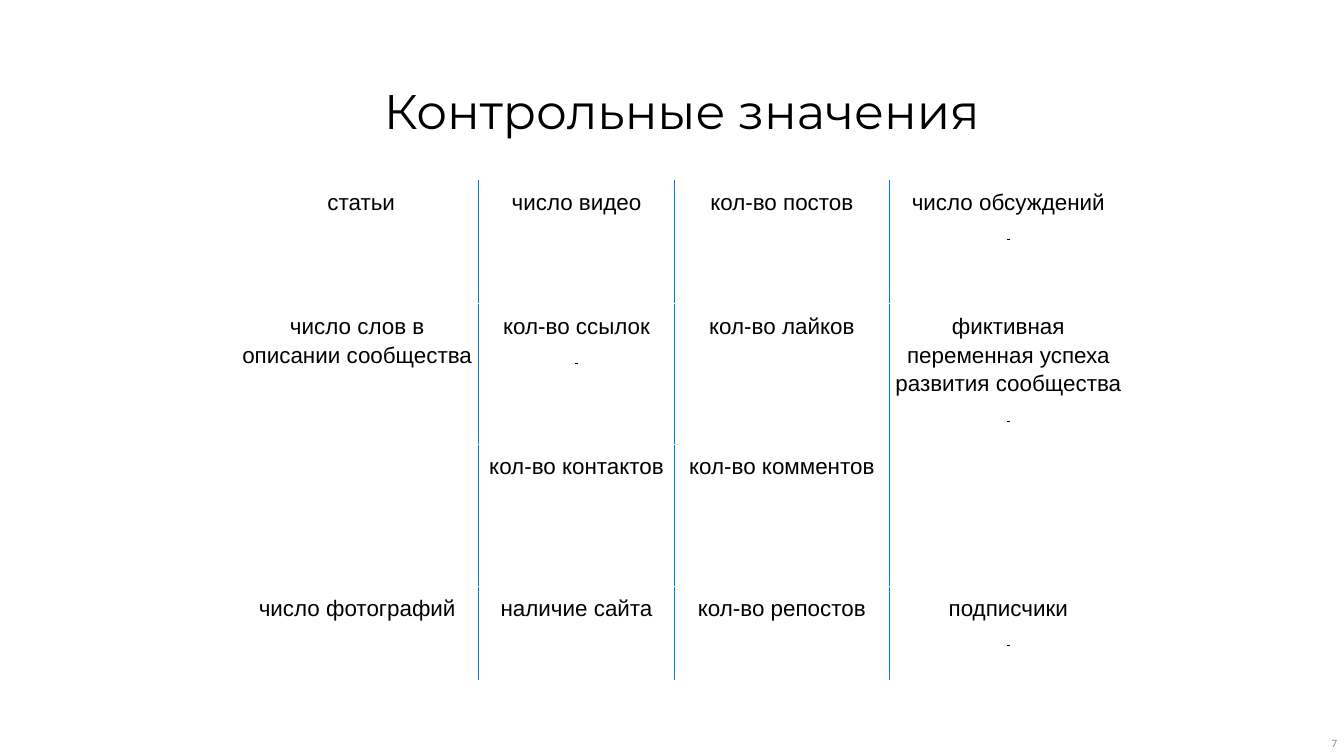
from dataclasses import dataclass

from lxml.etree import SubElement
from pptx import Presentation
from pptx.dml.color import RGBColor
from pptx.enum.text import MSO_ANCHOR, PP_ALIGN
from pptx.oxml.ns import qn
from pptx.util import Inches, Pt


@dataclass(frozen=True)
class Theme:
    black: str = "000000"
    gray: str = "888888"
    blue: str = "0077FF"
    title_size: int = 52
    cell_size: int = 24
    small_size: int = 12
    rule_width: float = 1


theme = Theme()


def write(paragraph, text, font="Arial", size=theme.cell_size, color=theme.black,
          align=PP_ALIGN.CENTER, line_spacing=None, space_before=0, underline=False):
    paragraph.alignment = align
    paragraph.line_spacing = line_spacing
    paragraph.space_before = Pt(space_before)
    run = paragraph.add_run()
    run.text = text
    run.font.name = font
    run.font.size = Pt(size)
    run.font.underline = underline
    run.font.color.rgb = RGBColor.from_string(color)


def add_border(cell, side):
    """Draw one edge of a table cell; side is L or R."""
    line = SubElement(cell._tc.get_or_add_tcPr(), qn(f"a:ln{side}"), w=str(Pt(theme.rule_width)))
    fill = SubElement(line, qn("a:solidFill"))
    SubElement(fill, qn("a:srgbClr"), val=theme.blue)


presentation = Presentation()
presentation.slide_width = Inches(20)
presentation.slide_height = Inches(11.25)
slide = presentation.slides.add_slide(presentation.slide_layouts[5])

# Title
title = slide.shapes.title
title.left, title.top = Inches(3.51), Inches(1.11)
title.width, title.height = Inches(13.27), Inches(1.08)
title_frame = title.text_frame
title_frame.vertical_anchor = MSO_ANCHOR.TOP
title_frame.margin_left = title_frame.margin_right = Inches(0.1)
title_frame.margin_top = title_frame.margin_bottom = Inches(0.1)
write(title_frame.paragraphs[0], "Контрольные значения", font="Montserrat", size=theme.title_size)

# Table of control variables; None marks a cell covered by the one above
column_widths = [3.61, 2.92, 3.19, 3.55]
row_heights = [1.84, 2.09, 2.11, 1.41]
variables = [
    ["статьи", "число видео", "кол-во постов", "число обсуждений"],
    ["число слов в описании сообщества", "кол-во ссылок", "кол-во лайков",
     "фиктивная переменная успеха развития сообщества"],
    [None, "кол-во контактов", "кол-во комментов", None],
    ["число фотографий", "наличие сайта", "кол-во репостов", "подписчики"],
]
cells_with_dash = {(0, 3), (1, 1), (1, 3), (3, 3)}

table = slide.shapes.add_table(
    len(row_heights), len(column_widths), Inches(3.51), Inches(2.68),
    Inches(sum(column_widths)), Inches(sum(row_heights))).table
table.first_row = table.horz_banding = False
for column, width in zip(table.columns, column_widths):
    column.width = Inches(width)
for row, height in zip(table.rows, row_heights):
    row.height = Inches(height)

for row_index, row_texts in enumerate(variables):
    for column_index, text in enumerate(row_texts):
        cell = table.cell(row_index, column_index)
        cell.margin_left = cell.margin_right = Inches(0.07)
        cell.margin_top = cell.margin_bottom = Inches(0.1)
        if column_index > 0:
            add_border(cell, "L")
        if column_index < len(column_widths) - 1:
            add_border(cell, "R")
        cell.fill.background()
        if text is None:
            table.cell(row_index - 1, column_index).merge(cell)
            continue
        write(cell.text_frame.paragraphs[0], text, line_spacing=1.15)
        if (row_index, column_index) in cells_with_dash:
            # The short dash is an underlined space
            write(cell.text_frame.add_paragraph(), " ", font="Times New Roman",
                  size=theme.small_size, line_spacing=1.15, space_before=12, underline=True)
table.cell(0, 0).margin_left = Inches(0.19)

# Slide number
number_box = slide.shapes.add_textbox(Inches(17.67), Inches(10.85), Inches(2.33), Inches(0.4))
number_frame = number_box.text_frame
number_frame.word_wrap = True
number_frame.vertical_anchor = MSO_ANCHOR.MIDDLE
write(number_frame.paragraphs[0], "7", font="Calibri", size=theme.small_size,
      color=theme.gray, align=PP_ALIGN.RIGHT)

presentation.save("out.pptx")
